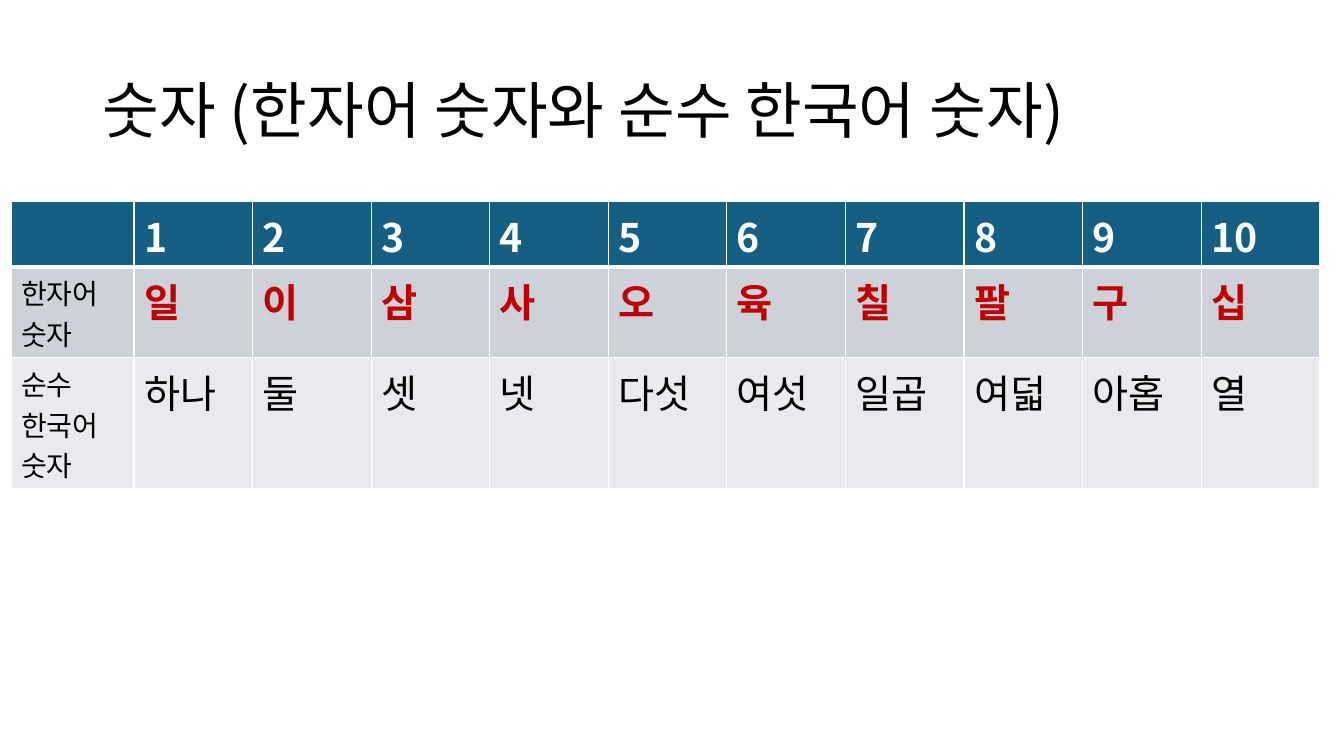
from lxml import etree
from pptx import Presentation
from pptx import util as u
from pptx.dml.color import RGBColor
from pptx.enum import text
from pptx.oxml import ns

WHITE = RGBColor(0xFF, 0xFF, 0xFF)
BLACK = RGBColor(0, 0, 0)
RED = RGBColor(0xC0, 0, 0)
TEAL = RGBColor(0x15, 0x60, 0x82)
GREY = RGBColor(0xCC, 0xD2, 0xD8)
PALE_GREY = RGBColor(0xE8, 0xEA, 0xED)
FONT = "Noto Sans CJK KR"

HEADING = "숫자 (한자어 숫자와 순수 한국어 숫자)"
NUMERALS = [str(n) for n in range(1, 11)]
SINO_KOREAN = list("일이삼사오육칠팔구십")
NATIVE_KOREAN = "하나 둘 셋 넷 다섯 여섯 일곱 여덟 아홉 열".split()
NUMBER_ROWS = [
    ("", NUMERALS, TEAL, WHITE, True, 0.65),
    ("한자어 숫자", SINO_KOREAN, GREY, RED, True, 0.9),
    ("순수\n한국어 숫자", NATIVE_KOREAN, PALE_GREY, BLACK, False, 1.3),
]


def write(frame, words, size, color, bold=False):
    frame.text = words
    for paragraph in frame.paragraphs:
        for run in paragraph.runs:
            run.font.size = u.Pt(size)
            run.font.bold = bold
            run.font.color.rgb = color
            run.font.name = FONT
            east_asian = etree.SubElement(run.font._element, ns.qn("a:ea"))
            east_asian.set("typeface", FONT)


def add_borders(cell, top, bottom):
    properties = cell._tc.get_or_add_tcPr()
    for side, width in (("L", 1), ("R", 1), ("T", top), ("B", bottom)):
        line = etree.SubElement(properties, ns.qn(f"a:ln{side}"), w=str(u.Pt(width)))
        fill = etree.SubElement(line, ns.qn("a:solidFill"))
        etree.SubElement(fill, ns.qn("a:srgbClr"), val=str(WHITE))


def add_heading(slide, left, top, width, height):
    box = slide.shapes.add_textbox(*map(u.Inches, (left, top, width, height)))
    frame = box.text_frame
    frame.word_wrap = True
    frame.vertical_anchor = text.MSO_ANCHOR.MIDDLE
    write(frame, HEADING, 44, BLACK)
    frame.paragraphs[0].line_spacing = 0.9


def add_number_table(slide, left, top, width, label_width):
    height = sum(row[-1] for row in NUMBER_ROWS)
    columns = len(NUMERALS) + 1
    table = slide.shapes.add_table(
        len(NUMBER_ROWS), columns, *map(u.Inches, (left, top, width, height))
    ).table
    number_width = (width - label_width) / len(NUMERALS)
    for c, column in enumerate(table.columns):
        column.width = u.Inches(number_width if c else label_width)
    for r, (label, numbers, fill, color, bold, row_height) in enumerate(NUMBER_ROWS):
        table.rows[r].height = u.Inches(row_height)
        for c, words in enumerate([label, *numbers]):
            cell = table.cell(r, c)
            add_borders(cell, 3 if r == 1 else 1, 3 if r == 0 else 1)
            cell.fill.solid()
            cell.fill.fore_color.rgb = fill
            if c:
                write(cell.text_frame, words, 28, color, bold)
            else:
                write(cell.text_frame, words, 20, BLACK)


def main():
    deck = Presentation()
    deck.slide_width = u.Inches(13.33)
    deck.slide_height = u.Inches(7.5)
    slide = deck.slides.add_slide(deck.slide_layouts[6])
    add_heading(slide, 0.92, 0.4, 11.5, 1.45)
    add_number_table(slide, 0.11, 2, 12.98, 1.22)
    deck.save("out.pptx")


if __name__ == "__main__":
    main()
